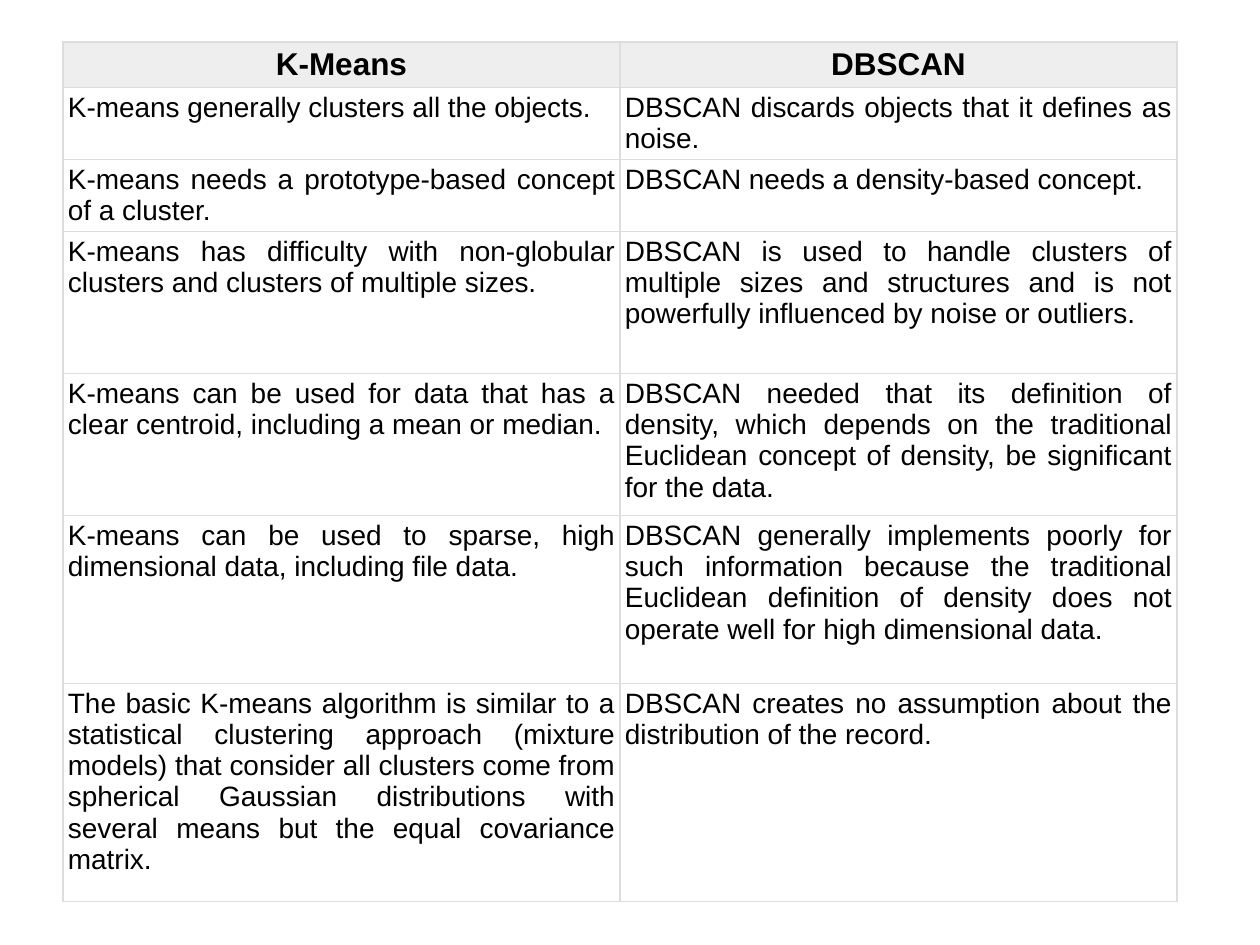
"""Build a slide with a table comparing K-Means and DBSCAN."""
from lxml import etree
from pptx import Presentation
from pptx import util as u
from pptx.dml.color import RGBColor
from pptx.enum import text
from pptx.oxml import ns

HEAD = ("K-Means", "DBSCAN")
ROWS = [
    ("K-means generally clusters all the objects.",
     "DBSCAN discards objects that it defines as noise."),
    ("K-means needs a prototype-based concept of a cluster.",
     "DBSCAN needs a density-based concept."),
    ("K-means has difficulty with non-globular clusters and clusters of multiple sizes.",
     "DBSCAN is used to handle clusters of multiple sizes and structures and is not "
     "powerfully influenced by noise or outliers."),
    ("K-means can be used for data that has a clear centroid, including a mean or median.",
     "DBSCAN needed that its definition of density, which depends on the traditional "
     "Euclidean concept of density, be significant for the data."),
    ("K-means can be used to sparse, high dimensional data, including file data.",
     "DBSCAN generally implements poorly for such information because the traditional "
     "Euclidean definition of density does not operate well for high dimensional data."),
    ("The basic K-means algorithm is similar to a statistical clustering approach "
     "(mixture models) that consider all clusters come from spherical Gaussian "
     "distributions with several means but the equal covariance matrix.",
     "DBSCAN creates no assumption about the distribution of the record."),
]
HIGHS = (44, 72, 72, 142, 142, 168, 218)
LEFT, TOP, WIDE, PAD = 63, 42, 557, 5
INK, GRID, SHADE, PAPER = "000000", "DDDDDD", "EEEEEE", "FFFFFF"


def px(n):
    return u.Emu(round(n * 914400 / 126))


def hue(code):
    return RGBColor.from_string(code)


def edge(cell):
    props = cell._tc.get_or_add_tcPr()
    for spot, side in enumerate(("lnL", "lnR", "lnT", "lnB")):
        line = etree.Element(ns.qn("a:" + side), w=str(u.Pt(0.75)))
        fill = etree.SubElement(line, ns.qn("a:solidFill"))
        etree.SubElement(fill, ns.qn("a:srgbClr"), val=GRID)
        props.insert(spot, line)


def write(cell, words, head):
    cell.margin_left = cell.margin_right = px(PAD)
    cell.margin_top = cell.margin_bottom = px(PAD)
    cell.fill.solid()
    cell.fill.fore_color.rgb = hue(SHADE if head else PAPER)
    para = cell.text_frame.paragraphs[0]
    para.alignment = text.PP_ALIGN.CENTER if head else text.PP_ALIGN.JUSTIFY
    run = para.add_run()
    run.text = words
    font = run.font
    font.name, font.size, font.bold = "Arial", u.Pt(18 if head else 16), head
    font.color.rgb = hue(INK)
    edge(cell)


def main():
    deck = Presentation()
    deck.slide_width, deck.slide_height = px(1260), px(945)
    slide = deck.slides.add_slide(deck.slide_layouts[6])
    data = [HEAD, *ROWS]
    table = slide.shapes.add_table(
        len(data), len(HEAD), px(LEFT), px(TOP),
        px(WIDE * len(HEAD)), px(sum(HIGHS))).table
    for col in table.columns:
        col.width = px(WIDE)
    for r, (row, high) in enumerate(zip(data, HIGHS)):
        table.rows[r].height = px(high)
        for c, words in enumerate(row):
            write(table.cell(r, c), words, r == 0)
    deck.save("out.pptx")


if __name__ == "__main__":
    main()
